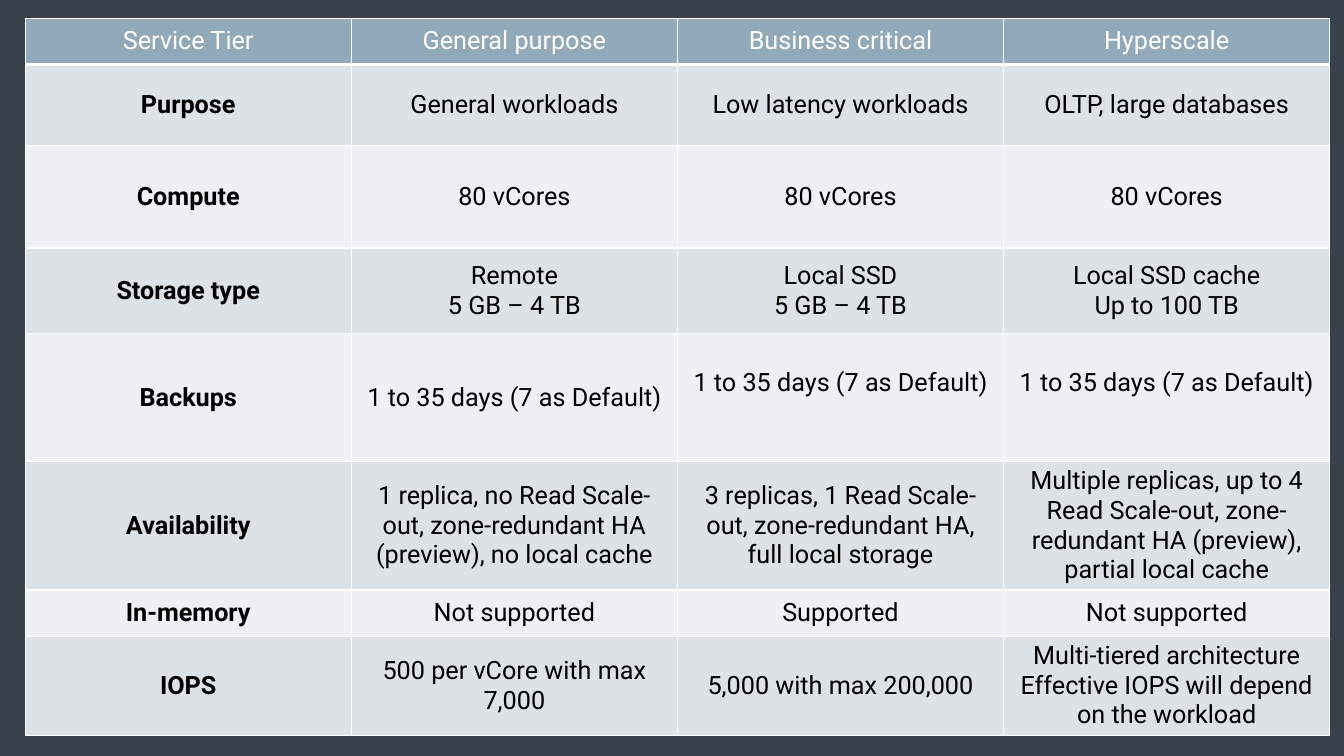
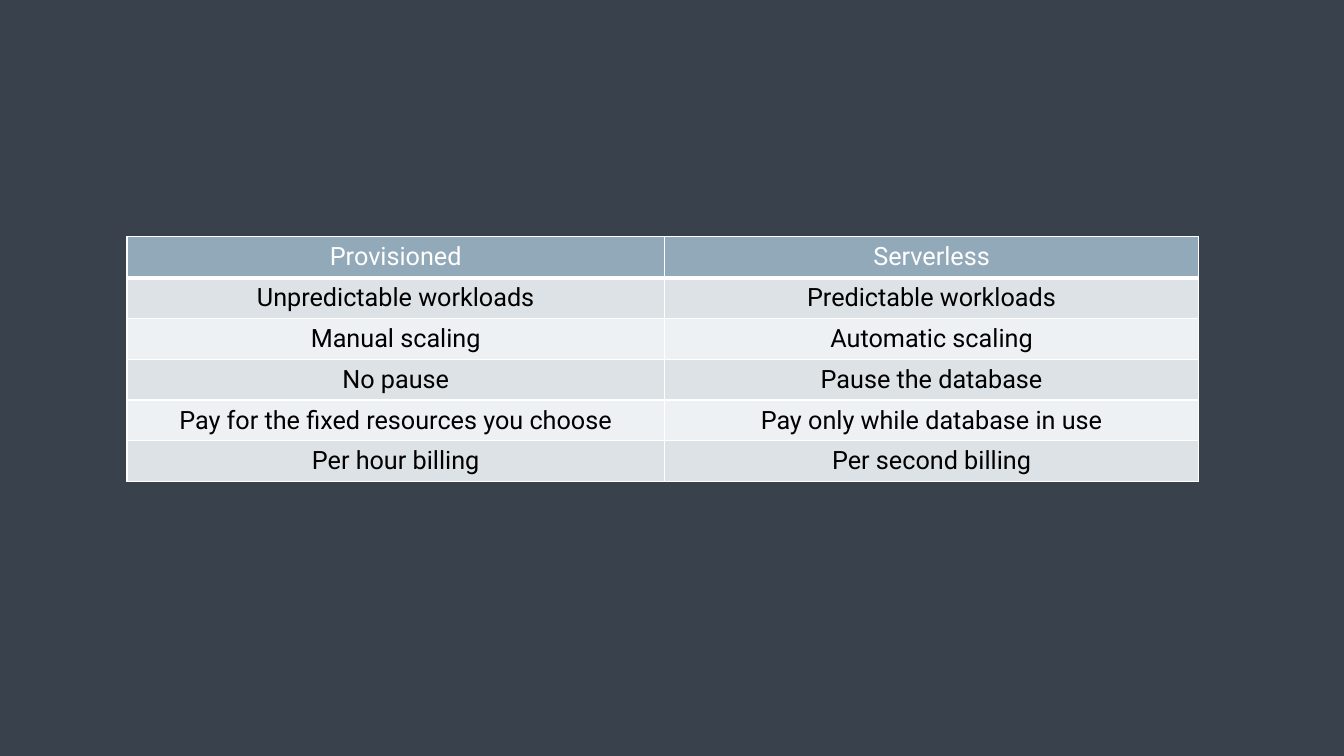
from lxml import etree
from pptx import Presentation
from pptx import util as u
from pptx.dml.color import RGBColor
from pptx.enum import text
from pptx.oxml import ns

BACKGROUND = RGBColor(0x39, 0x41, 0x4D)
HEADER = RGBColor(0x92, 0xA9, 0xB9)
BANDS = [RGBColor(0xEE, 0xF1, 0xF3), RGBColor(0xDC, 0xE2, 0xE6)]
WHITE = RGBColor(0xFF, 0xFF, 0xFF)
BLACK = RGBColor(0x00, 0x00, 0x00)
FONT = "Roboto"


def add_border(cell, side, width):
    line = etree.SubElement(cell._tc.get_or_add_tcPr(), ns.qn(f"a:ln{side}"), w=str(u.Pt(width)))
    fill = etree.SubElement(line, ns.qn("a:solidFill"))
    etree.SubElement(fill, ns.qn("a:srgbClr"), val=str(WHITE))


def add_comparison(deck, left, top, widths, heights, rows, bold_labels):
    page = deck.slides.add_slide(deck.slide_layouts[6])
    page.background.fill.solid()
    page.background.fill.fore_color.rgb = BACKGROUND
    frame = page.shapes.add_table(
        len(rows), len(widths), u.Inches(left), u.Inches(top),
        u.Inches(sum(widths)), u.Inches(sum(heights)))
    table = frame.table
    for column, width in zip(table.columns, widths):
        column.width = u.Inches(width)
    for row, height in zip(table.rows, heights):
        row.height = u.Inches(height)
    for row_index, row in enumerate(rows):
        is_header = row_index == 0
        for column_index, words in enumerate(row):
            cell = table.cell(row_index, column_index)
            for side in "LRTB":
                add_border(cell, side, 3 if is_header and side == "B" else 1)
            cell.fill.solid()
            cell.fill.fore_color.rgb = HEADER if is_header else BANDS[row_index % 2]
            cell.vertical_anchor = text.MSO_ANCHOR.MIDDLE
            cell.text_frame.text = words
            for para in cell.text_frame.paragraphs:
                para.alignment = text.PP_ALIGN.CENTER
                for span in para.runs:
                    span.font.name = FONT
                    span.font.size = u.Pt(18)
                    span.font.bold = bold_labels and column_index == 0 and not is_header
                    span.font.color.rgb = WHITE if is_header else BLACK
    return table


deck = Presentation()
deck.slide_width = u.Inches(13.33)
deck.slide_height = u.Inches(7.5)

retention = "1 to 35 days (7 as Default)"
tiers = [
    ["Service Tier", "General purpose", "Business critical", "Hyperscale"],
    ["Purpose", "General workloads", "Low latency workloads", "OLTP, large databases"],
    ["Compute"] + ["80 vCores"] * 3,
    ["Storage type", "Remote\n5 GB – 4 TB", "Local SSD\n5 GB – 4 TB", "Local SSD cache\nUp to 100 TB"],
    ["Backups"] + [retention] * 3,
    ["Availability",
     "1 replica, no Read Scale-out, zone-redundant HA (preview), no local cache",
     "3 replicas, 1 Read Scale-out, zone-redundant HA, full local storage",
     "Multiple replicas, up to 4 Read Scale-out, zone-redundant HA (preview), partial local cache"],
    ["In-memory", "Not supported", "Supported", "Not supported"],
    ["IOPS", "500 per vCore with max 7,000", "5,000 with max 200,000",
     "Multi-tiered architecture Effective IOPS will depend on the workload"],
]
tier_heights = [0.46, 0.8, 1.02, 0.85, 1.27, 1.27, 0.46, 0.98]
tier_table = add_comparison(deck, 0.25, 0.18, [12.94 / 4] * 4, tier_heights, tiers, True)
for column_index in (2, 3):
    tier_table.cell(4, column_index).margin_bottom = u.Inches(0.35)

compute_models = [
    ["Provisioned", "Serverless"],
    ["Unpredictable workloads", "Predictable workloads"],
    ["Manual scaling", "Automatic scaling"],
    ["No pause", "Pause the database"],
    ["Pay for the fixed resources you choose", "Pay only while database in use"],
    ["Per hour billing", "Per second billing"],
]
add_comparison(deck, 1.26, 2.35, [5.33, 5.3], [2.43 / 6] * 6, compute_models, False)

deck.save("out.pptx")
